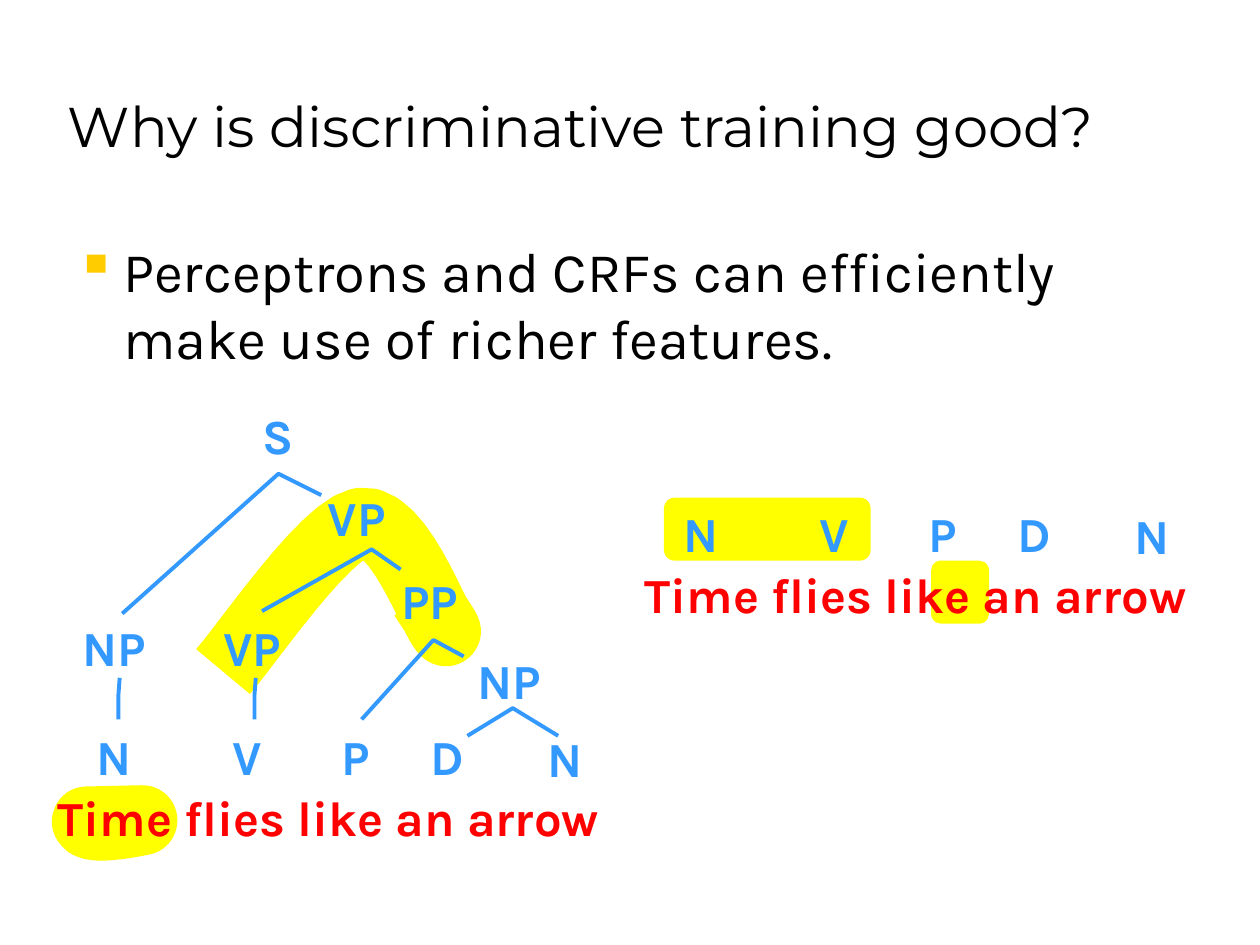
from lxml import etree
from pptx import Presentation
from pptx import util as u
from pptx.dml.color import RGBColor
from pptx.enum import shapes, text
from pptx.oxml.ns import qn

BLUE, RED, YELLOW, BLACK, GOLD = "3399FF", "FF0000", "FFFF00", "000000", "FFCC00"
LABEL_HEIGHT = 0.57
TAGS = [("N", 0.54, 0), ("V", 1.6, 0), ("P", 2.46, 0), ("D", 3.19, 0), ("N", 4.12, 0.01)]
NODES = [("S", 1.85, 0), ("VP", 2.47, 0.65), ("PP", 3.05, 1.31),
         ("NP", 3.68, 1.94), ("NP", 0.55, 1.68), ("VP", 1.64, 1.68)]
BRANCHES = [
    [(0.61, 1.7), (1.85, 0.59), (2.19, 0.76)],
    [(1.72, 1.68), (2.59, 1.19), (2.82, 1.35)],
    [(2.51, 2.54), (3.08, 1.91), (3.32, 2.04)],
    [(3.35, 2.67), (3.71, 2.45), (4.07, 2.67)],
] + [[(x + 0.01, 2.21), (x, 2.34), (x, 2.54)] for x in (0.58, 1.66)]
WORD_MARK = [(0.77, 3.34), (0.77, 3.34), (0.36, 3.43), (0.33, 3.35),
             (0.33, 3.35), (0.77, 3.34), (0.77, 3.34)]
RULE_MARK = [(1.41, 2.16), (1.59, 1.96), (2.21, 1.04), (2.5, 0.98),
             (2.8, 0.93), (3.08, 1.73), (3.16, 1.82),
             (3.24, 1.92), (3.04, 1.62), (3, 1.56)]


def color(value):
    return RGBColor.from_string(value)


def inches(*values):
    return [u.Inches(value) for value in values]


def add_text(slide, box, content, font, frame):
    shape = slide.shapes.add_textbox(*inches(*box))
    for name, value in frame.items():
        setattr(shape.text_frame, name, value)
    paragraph = shape.text_frame.paragraphs[0]
    run = paragraph.add_run()
    run.text = content
    for name, value in font.items():
        if name == "color":
            run.font.color.rgb = color(value)
        else:
            setattr(run.font, name, value)
    return paragraph


def add_label(slide, box, content, value):
    font = {"name": "Karla", "size": u.Pt(28), "bold": True, "color": value}
    frame = {"word_wrap": False, "auto_size": text.MSO_AUTO_SIZE.SHAPE_TO_FIT_TEXT}
    return add_text(slide, box, content, font, frame)


def add_labels(slide, left, top, labels):
    for content, center, offset in labels:
        width = 0.2 + 0.27 * len(content)
        box = (left + center - width / 2, top + offset, width, LABEL_HEIGHT)
        add_label(slide, box, content, BLUE).alignment = text.PP_ALIGN.CENTER


def add_path(slide, left, top, points, value, width, close=False):
    corners = [inches(left + x, top + y) for x, y in points]
    builder = slide.shapes.build_freeform(*corners[0])
    builder.add_line_segments(corners[1:], close=close)
    shape = builder.convert_to_shape()
    shape.shadow.inherit = False
    shape.fill.background()
    shape.line.color.rgb = color(value)
    shape.line.width = u.Pt(width)
    etree.SubElement(shape.line._get_or_add_ln(), qn("a:round"))


def curve(points, steps=12):
    result = [points[0]]
    for start in range(0, len(points) - 1, 3):
        segment = points[start:start + 4]
        for step in range(1, steps + 1):
            t = step / steps
            weights = ((1 - t) ** 3, 3 * t * (1 - t) ** 2, 3 * t * t * (1 - t), t ** 3)
            result.append(tuple(sum(weight * point[axis] for weight, point in zip(weights, segment))
                                for axis in (0, 1)))
    return result


def add_mark(slide, box, corner):
    shape = slide.shapes.add_shape(shapes.MSO_SHAPE.ROUNDED_RECTANGLE, *inches(*box))
    shape.adjustments[0] = corner
    shape.shadow.inherit = False
    shape.fill.solid()
    shape.fill.fore_color.rgb = color(YELLOW)
    shape.line.fill.background()


def add_title(slide, box):
    font = {"name": "Montserrat", "size": u.Pt(32), "color": BLACK}
    frame = {"word_wrap": True, "vertical_anchor": text.MSO_ANCHOR.BOTTOM}
    add_text(slide, box, "Why is discriminative training good?", font, frame)


def add_body(slide, box):
    font = {"name": "Karla", "size": u.Pt(32), "color": BLACK}
    paragraph = add_text(slide, box, "Perceptrons and CRFs can efficiently make use of richer features.",
                         font, {"word_wrap": True})
    properties = paragraph._p.get_or_add_pPr()
    properties.set("marL", str(u.Inches(0.38)))
    properties.set("indent", str(u.Inches(-0.38)))
    bullet_color = etree.SubElement(properties, qn("a:buClr"))
    etree.SubElement(bullet_color, qn("a:srgbClr"), val=GOLD)
    etree.SubElement(properties, qn("a:buChar"), char="▪")


def add_tagged_sentence(slide, box):
    left, top, width, height = box
    add_label(slide, (left, top + 0.48, width, LABEL_HEIGHT), "Time flies like an arrow", RED)
    add_labels(slide, left, top, TAGS)


def add_tree(slide, box):
    left, top, width, height = box
    add_path(slide, left, top, curve(WORD_MARK), YELLOW, 40, close=True)
    add_path(slide, left, top, curve(RULE_MARK), YELLOW, 40)
    for branch in BRANCHES:
        add_path(slide, left, top, branch, BLUE, 2.25)
    add_labels(slide, left, top, NODES)
    add_tagged_sentence(slide, (left, top + 2.55, width, height - 2.55))


def add_sequence(slide, box):
    left, top, width, height = box
    add_mark(slide, (left + 0.25, top, 1.64, 0.5), 0.17)
    add_mark(slide, (left + 2.37, top + 0.5, 0.46, 0.5), 0.17)
    add_tagged_sentence(slide, box)


def main():
    presentation = Presentation()
    presentation.slide_width, presentation.slide_height = inches(10, 7.5)
    slide = presentation.slides.add_slide(presentation.slide_layouts[6])
    add_title(slide, (0.44, 0.06, 9.22, 1.25))
    add_body(slide, (0.5, 1.83, 8.94, 5.08))
    add_tree(slide, (0.36, 3.17, 4.72, 3.6))
    add_sequence(slide, (5.02, 3.95, 4.72, 1.05))
    presentation.save("out.pptx")


if __name__ == "__main__":
    main()
